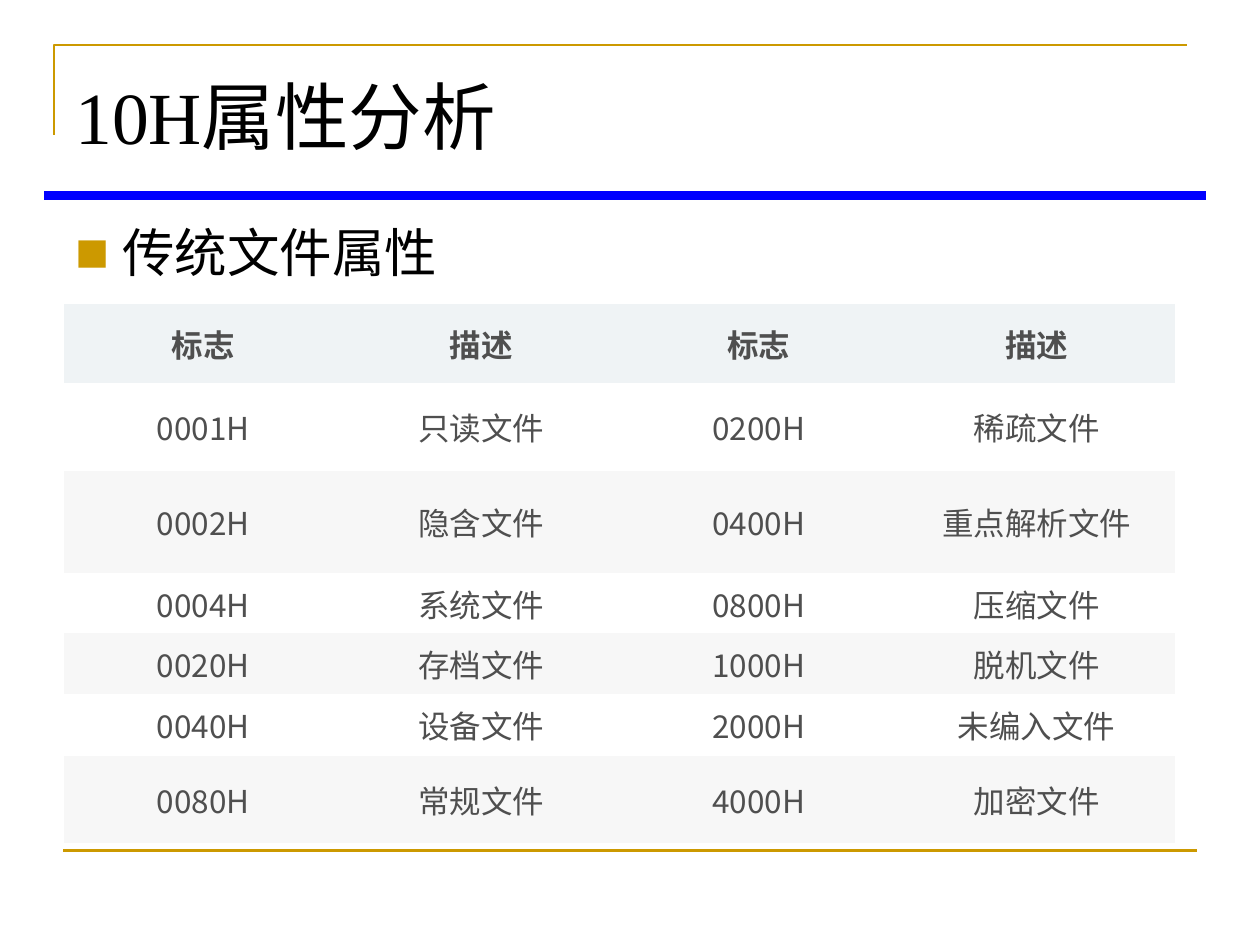
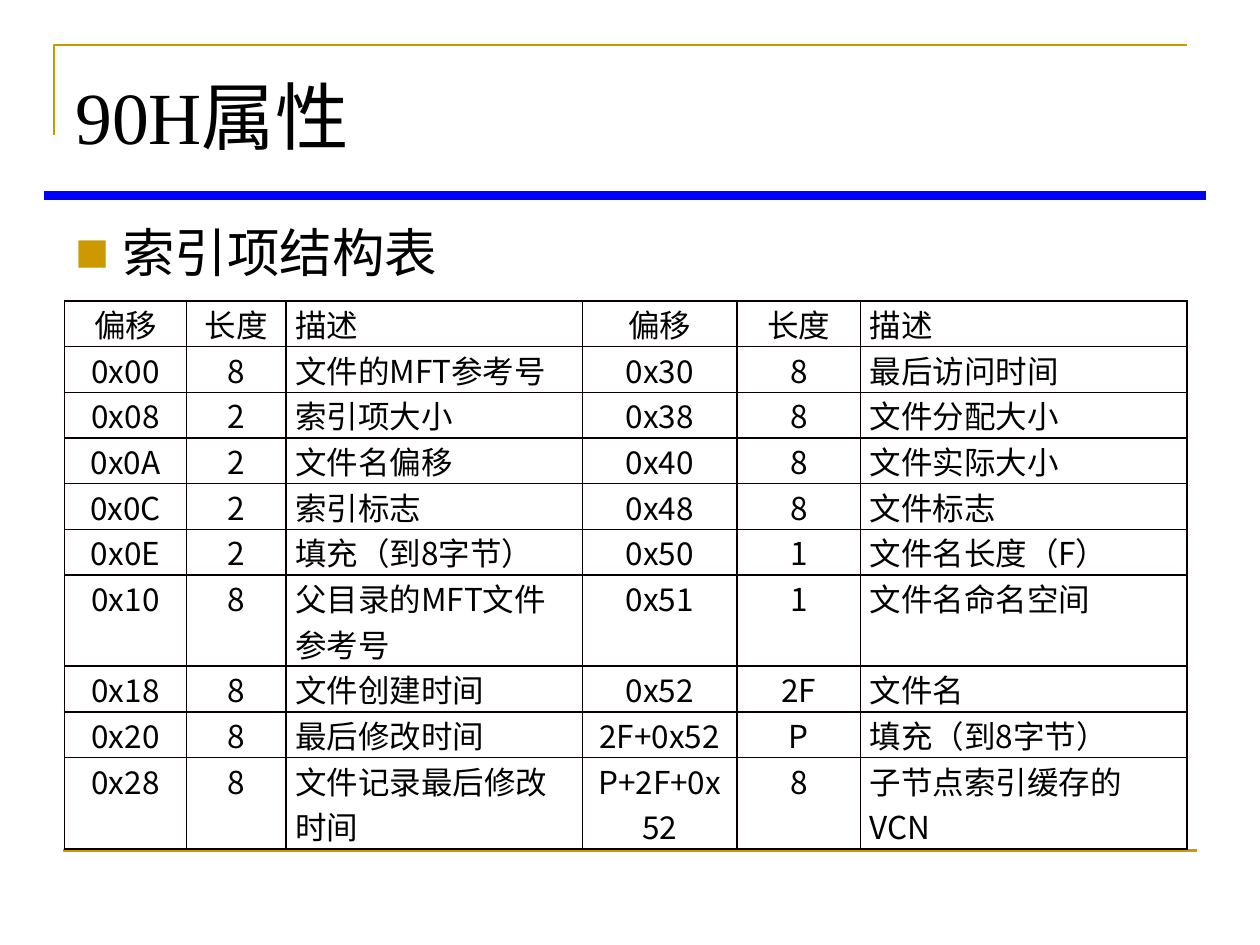
from lxml import etree
from pptx import Presentation
from pptx.dml.color import RGBColor
from pptx.enum.shapes import MSO_CONNECTOR
from pptx.enum.text import MSO_ANCHOR, PP_ALIGN
from pptx.oxml import parse_xml
from pptx.oxml.ns import nsdecls, qn
from pptx.util import Cm, Pt

GOLD, BLUE, BLACK, GREY = "CC9900", "0000FF", "000000", "4F4F4F"
SANS = "Noto Sans CJK SC"
NS = nsdecls("a")
BULLET = (
    f'<a:buClr {NS}><a:srgbClr val="{GOLD}"/></a:buClr>',
    f'<a:buSzPct {NS} val="65000"/>',
    f'<a:buFont {NS} typeface="{SANS}"/>',
    f'<a:buChar {NS} char="■"/>',
)
EDGE = '<a:solidFill><a:srgbClr val="080000"/></a:solidFill>'

FLAGS = """标志 描述 标志 描述
0001H 只读文件 0200H 稀疏文件
0002H 隐含文件 0400H 重点解析文件
0004H 系统文件 0800H 压缩文件
0020H 存档文件 1000H 脱机文件
0040H 设备文件 2000H 未编入文件
0080H 常规文件 4000H 加密文件"""

INDEX = """偏移 长度 描述 偏移 长度 描述
0x00 8 文件的MFT参考号 0x30 8 最后访问时间
0x08 2 索引项大小 0x38 8 文件分配大小
0x0A 2 文件名偏移 0x40 8 文件实际大小
0x0C 2 索引标志 0x48 8 文件标志
0x0E 2 填充（到8字节） 0x50 1 文件名长度（F）
0x10 8 父目录的MFT文件参考号 0x51 1 文件名命名空间
0x18 8 文件创建时间 0x52 2F 文件名
0x20 8 最后修改时间 2F+0x52 P 填充（到8字节）
0x28 8 文件记录最后修改时间 P+2F+0x52 8 子节点索引缓存的VCN"""

# title, bullet, table text, table top, column widths, row heights,
# side inset, top inset, text colour, ruled
PAGES = [
    ("10H属性分析", "传统文件属性", FLAGS, 6.12, [5.6] * 4,
     [1.6, 1.77, 2.06, 1.22, 1.22, 1.24, 1.77], 0.15, 0.15, GREY, False),
    ("90H属性", "索引项结构表", INDEX, 6.07,
     [2.46, 2.01, 5.97, 3.12, 2.49, 6.58],
     [0.92] * 6 + [1.84] + [0.92] * 2 + [1.84], 0.18, 0, BLACK, True),
]


def rgb(code):
    return RGBColor.from_string(code)


def style(para, size, face, code, bold=False):
    """Set the font of a paragraph, with one face for all CJK text."""
    font = para.font
    font.size, font.name, font.bold = Pt(size), face, bold
    font.color.rgb = rgb(code)
    base = para._p.pPr.find(qn("a:defRPr"))
    etree.SubElement(base, qn("a:ea")).set("typeface", SANS)


deck = Presentation()
deck.slide_width, deck.slide_height = Cm(25.4), Cm(19.05)

for title, point, text, top, cols, rows, side, lead, ink, ruled in PAGES:
    slide = deck.slides.add_slide(deck.slide_layouts[6])
    shapes = slide.shapes

    # Frame lines
    path = shapes.build_freeform(Cm(1.09), Cm(2.72))
    path.add_line_segments([(Cm(1.09), Cm(0.91)), (Cm(23.93), Cm(0.91))], close=False)
    frame = path.convert_to_shape()
    frame.shadow.inherit = False
    frame.fill.background()
    frame.line.color.rgb = rgb(GOLD)
    frame.line.width = Pt(1.5)
    for left, right, y, code, width in [(1.27, 24.13, 17.15, GOLD, 1.5),
                                        (0.89, 24.31, 3.94, BLUE, 4.75)]:
        rule = shapes.add_connector(MSO_CONNECTOR.STRAIGHT, Cm(left), Cm(y), Cm(right), Cm(y))
        rule.line.color.rgb = rgb(code)
        rule.line.width = Pt(width)
        etree.SubElement(rule._element.spPr, qn("a:effectLst"))

    # Title
    head = shapes.add_textbox(Cm(1.27), Cm(1.12), Cm(22.86), Cm(2.21)).text_frame
    head.word_wrap = True
    head.vertical_anchor = MSO_ANCHOR.BOTTOM
    head.text = title
    style(head.paragraphs[0], 42, "Times New Roman", BLACK)

    # Bullet
    body = shapes.add_textbox(Cm(1.27), Cm(4.45), Cm(22.86), Cm(12.57)).text_frame
    body.word_wrap = True
    body.text = point
    para = body.paragraphs[0]
    para.line_spacing = 0.9
    props = para._p.get_or_add_pPr()
    props.set("marL", str(Cm(0.95)))
    props.set("indent", str(-Cm(0.95)))
    for part in BULLET:
        props.append(parse_xml(part))
    style(para, 30, "Arial", BLACK)

    # Table
    table = shapes.add_table(len(rows), len(cols), Cm(1.3), Cm(top),
                             Cm(sum(cols)), Cm(sum(rows))).table
    table.first_row = table.horz_banding = False
    for col, width in zip(table.columns, cols):
        col.width = Cm(width)
    for r, line in enumerate(text.splitlines()):
        table.rows[r].height = Cm(rows[r])
        for c, word in enumerate(line.split()):
            cell = table.cell(r, c)
            cell.text = word
            cell.margin_left = cell.margin_right = Cm(side)
            cell.margin_top = cell.margin_bottom = Cm(lead)
            para = cell.text_frame.paragraphs[0]
            if not ruled or c % 3 < 2:
                para.alignment = PP_ALIGN.CENTER
            style(para, 18, SANS, ink, bold=not ruled and r == 0)
            if ruled:
                cell.fill.background()
            else:
                cell.vertical_anchor = MSO_ANCHOR.MIDDLE
                cell.fill.solid()
                shade = "EFF3F5" if r == 0 else ("F7F7F7", "FFFFFF")[r % 2]
                cell.fill.fore_color.rgb = rgb(shade)
            for i, tag in enumerate(("lnL", "lnR", "lnT", "lnB")):
                edge = EDGE if ruled else "<a:noFill/>"
                xml = f'<a:{tag} {NS} w="{Pt(1)}">{edge}</a:{tag}>'
                cell._tc.tcPr.insert(i, parse_xml(xml))

deck.save("out.pptx")
